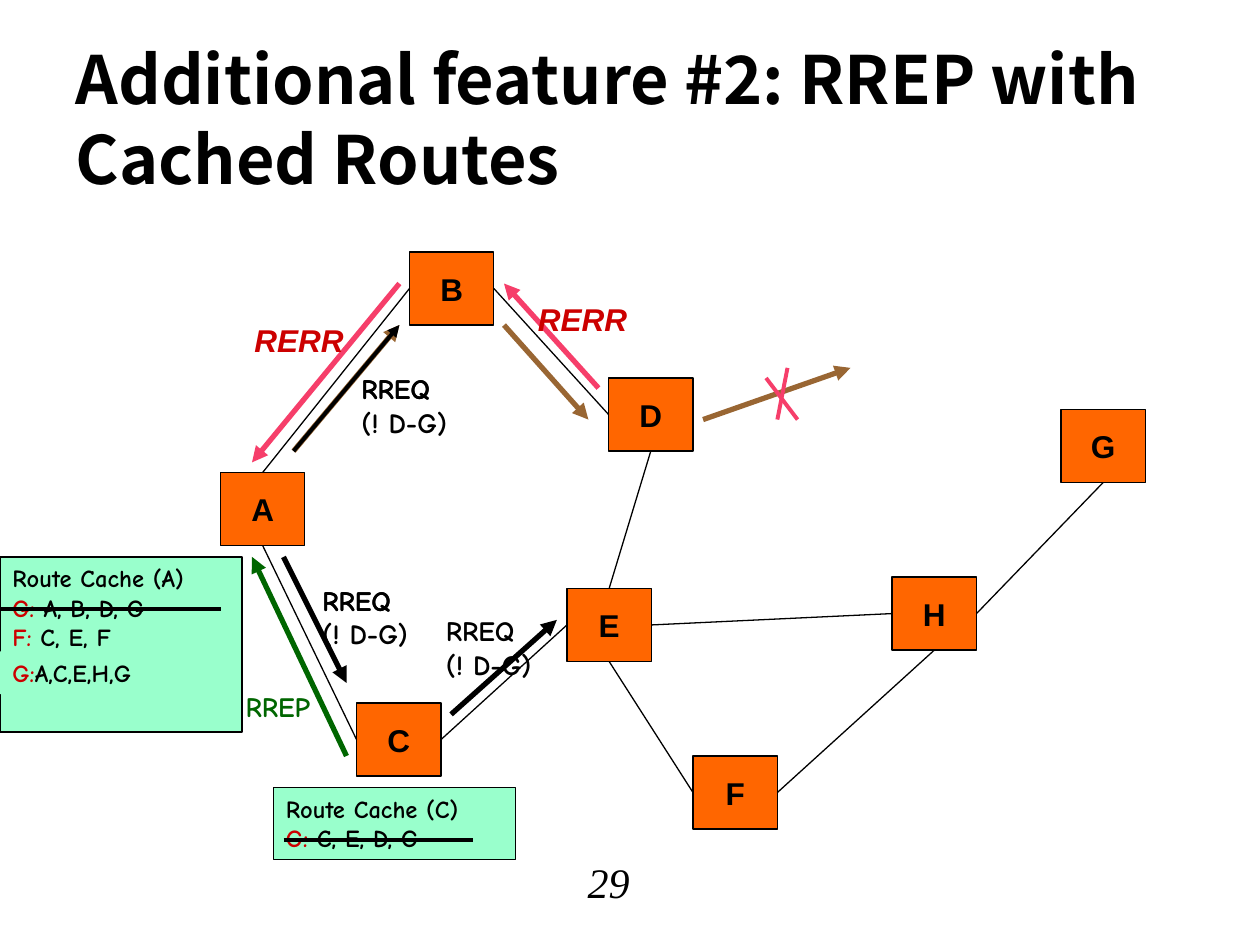
from pptx import Presentation
from pptx.dml.color import RGBColor
from pptx.enum.shapes import MSO_CONNECTOR, MSO_SHAPE
from pptx.enum.text import MSO_ANCHOR, MSO_AUTO_SIZE, PP_ALIGN
from pptx.oxml.ns import qn
from pptx.util import Inches, Pt
from lxml import etree

COLORS = {"black": "000000", "orange": "FF6600", "mint": "99FFCC", "red": "CC0000",
          "pink": "F63E6A", "brown": "996633", "green": "006600"}
HAND = "Comic Neue"
TOP, LEFT, BOTTOM, RIGHT = range(4)
NODE_W, NODE_H = 0.67, 0.58

TITLE = "Additional feature #2: RREP with Cached Routes"
PAGE = "29"

# Network: node -> left, top
NODES = {"A": (1.75, 3.75), "B": (3.25, 2), "C": (2.83, 5.58), "E": (4.5, 4.67),
         "D": (4.83, 3), "H": (7.08, 4.58), "F": (5.5, 6), "G": (8.42, 3.25)}
LINKS = [("A", TOP, "B", LEFT), ("B", RIGHT, "D", LEFT), ("D", BOTTOM, "E", TOP),
         ("A", BOTTOM, "C", LEFT), ("E", BOTTOM, "F", LEFT), ("F", RIGHT, "H", BOTTOM),
         ("E", RIGHT, "H", LEFT), ("C", RIGHT, "E", LEFT), ("H", RIGHT, "G", BOTTOM)]

# Lines: start, end, colour, width, arrowhead
ERROR_LINES = [
    ((6.75, 2.58), (6.75, 2.58), "black", 0.75, True),
    ((2.33, 3.58), (3.17, 2.58), "brown", 3, True),
    ((4, 2.58), (4.67, 3.33), "brown", 3, True),
    ((5.58, 3.33), (6.75, 2.92), "brown", 3, True),
    ((6.08, 3), (6.33, 3.33), "pink", 2.25, False),
    ((6.25, 2.92), (6.17, 3.33), "pink", 2.25, False),
    ((4.75, 3.08), (4, 2.25), "pink", 3, True),
    ((3.17, 2.25), (2, 3.67), "pink", 3, True),
]
REQUEST_LINES = [
    ((0, 4.83), (1.75, 4.83), "black", 2.25, False),
    ((2.25, 6.67), (3.75, 6.67), "black", 2.25, False),
    ((2.75, 6), (2, 4.42), "green", 3, True),
    ((2.33, 3.58), (3.17, 2.58), "black", 2.25, True),
    ((2.25, 4.42), (2.75, 5.42), "black", 3, True),
    ((3.58, 5.67), (4.42, 4.92), "black", 3, True),
]

# Labels: left, top, width, height, lines
ERROR_LABELS = [(4.17, 2.33, 0.91, 0.4, ["RERR"]), (1.92, 2.5, 0.91, 0.4, ["RERR"])]
RETRY = ["RREQ", "(! D-G)"]
REQUEST_LABELS = [
    (2.77, 2.9, 0.74, 0.37, RETRY[:1]), (2.46, 4.58, 0.74, 0.37, RETRY[:1]),
    (2.77, 2.9, 0.88, 0.64, RETRY), (2.46, 4.58, 0.88, 0.64, RETRY),
    (3.44, 4.82, 0.88, 0.64, RETRY),
]
REPLY_LABEL = (1.85, 5.42, 0.71, 0.37, ["RREP"])

# Route caches: left, top, width, height, outlined, lines of (destination, route)
CACHES = [
    (0, 4.42, 1.92, 1.39, True,
     [("", "Route Cache (A)"), ("G:", " A, B, D, G"), ("F:", " C, E, F")]),
    (0, 5.17, 1.5, 0.34, False, [("G:", "A,C,E,H,G")]),
    (2.17, 6.25, 1.92, 0.57, True, [("", "Route Cache (C)"), ("G:", " C, E, D, G")]),
]


def rgb(name):
    return RGBColor.from_string(COLORS[name])


def write(sp, lines, size=16, font=HAND, color="black", bold=True, italic=False,
          align=PP_ALIGN.LEFT, anchor=MSO_ANCHOR.TOP, wrap=False):
    """Each line is a string or a list of (text, colour) runs."""
    tf = sp.text_frame
    tf.auto_size = MSO_AUTO_SIZE.NONE
    tf.word_wrap = wrap
    tf.vertical_anchor = anchor
    for i, line in enumerate(lines):
        p = tf.paragraphs[0] if i == 0 else tf.add_paragraph()
        p.alignment = align
        p.space_before = Pt(0)
        for text, run_color in [(line, color)] if isinstance(line, str) else line:
            r = p.add_run()
            r.text = text
            r.font.size, r.font.name = Pt(size), font
            r.font.bold, r.font.italic = bold, italic
            r.font.color.rgb = rgb(run_color)
            for tag in ("a:ea", "a:cs"):
                etree.SubElement(r.font._element, qn(tag)).set("typeface", font)


def add_box(s, x, y, w, h, fill, outlined=True):
    sp = s.shapes.add_shape(MSO_SHAPE.RECTANGLE, *map(Inches, (x, y, w, h)))
    sp.shadow.inherit = False
    sp.fill.solid()
    sp.fill.fore_color.rgb = rgb(fill)
    if outlined:
        sp.line.color.rgb = rgb("black")
        sp.line.width = Pt(0.75)
    else:
        sp.line.fill.background()
    return sp


def add_label(s, x, y, w, h, lines, **fmt):
    write(s.shapes.add_textbox(*map(Inches, (x, y, w, h))), lines, **fmt)


def add_line(s, start=(0, 0), end=(0, 0), color="black", width=0.75, arrow=False):
    ln = s.shapes.add_connector(MSO_CONNECTOR.STRAIGHT, *map(Inches, (*start, *end)))
    ln.line.color.rgb = rgb(color)
    ln.line.width = Pt(width)
    if arrow:
        etree.SubElement(ln.line._get_or_add_ln(), qn("a:tailEnd")).set("type", "triangle")
    etree.SubElement(ln._element.spPr, qn("a:effectLst"))
    return ln


def main():
    prs = Presentation()
    prs.slide_width, prs.slide_height = Inches(10), Inches(7.5)
    s = prs.slides.add_slide(prs.slide_layouts[5])

    # Title and page number
    title = s.shapes.title
    title.left, title.top, title.width, title.height = map(Inches, (0.5, 0.25, 9.17, 1.37))
    write(title, [TITLE], size=38, font="Noto Sans CJK KR", wrap=True)
    add_label(s, 4.08, 6.75, 1.5, 0.5, [PAGE], size=24, font="Times New Roman",
              bold=False, italic=True, align=PP_ALIGN.CENTER, wrap=True)

    # Nodes and the links between them
    nodes = {}
    for name, (x, y) in NODES.items():
        nodes[name] = add_box(s, x, y, NODE_W, NODE_H, "orange")
        write(nodes[name], [name], size=18, font="Arial",
              align=PP_ALIGN.CENTER, anchor=MSO_ANCHOR.MIDDLE)
    for a, a_side, b, b_side in LINKS:
        link = add_line(s)
        link.begin_connect(nodes[a], a_side)
        link.end_connect(nodes[b], b_side)

    # Broken route and its error messages
    for line in ERROR_LINES:
        add_line(s, *line)
    for label in ERROR_LABELS:
        add_label(s, *label, size=18, font="Arial", color="red", italic=True)

    # Route caches
    for x, y, w, h, outlined, entries in CACHES:
        lines = [[(text, c) for text, c in zip(entry, ("red", "black")) if text]
                 for entry in entries]
        write(add_box(s, x, y, w, h, "mint", outlined), lines, size=14, wrap=True)

    # Struck-out entries, new requests and the reply
    for line in REQUEST_LINES:
        add_line(s, *line)
    for label in REQUEST_LABELS:
        add_label(s, *label)
    add_label(s, *REPLY_LABEL, color="green")

    prs.save("out.pptx")


if __name__ == "__main__":
    main()
